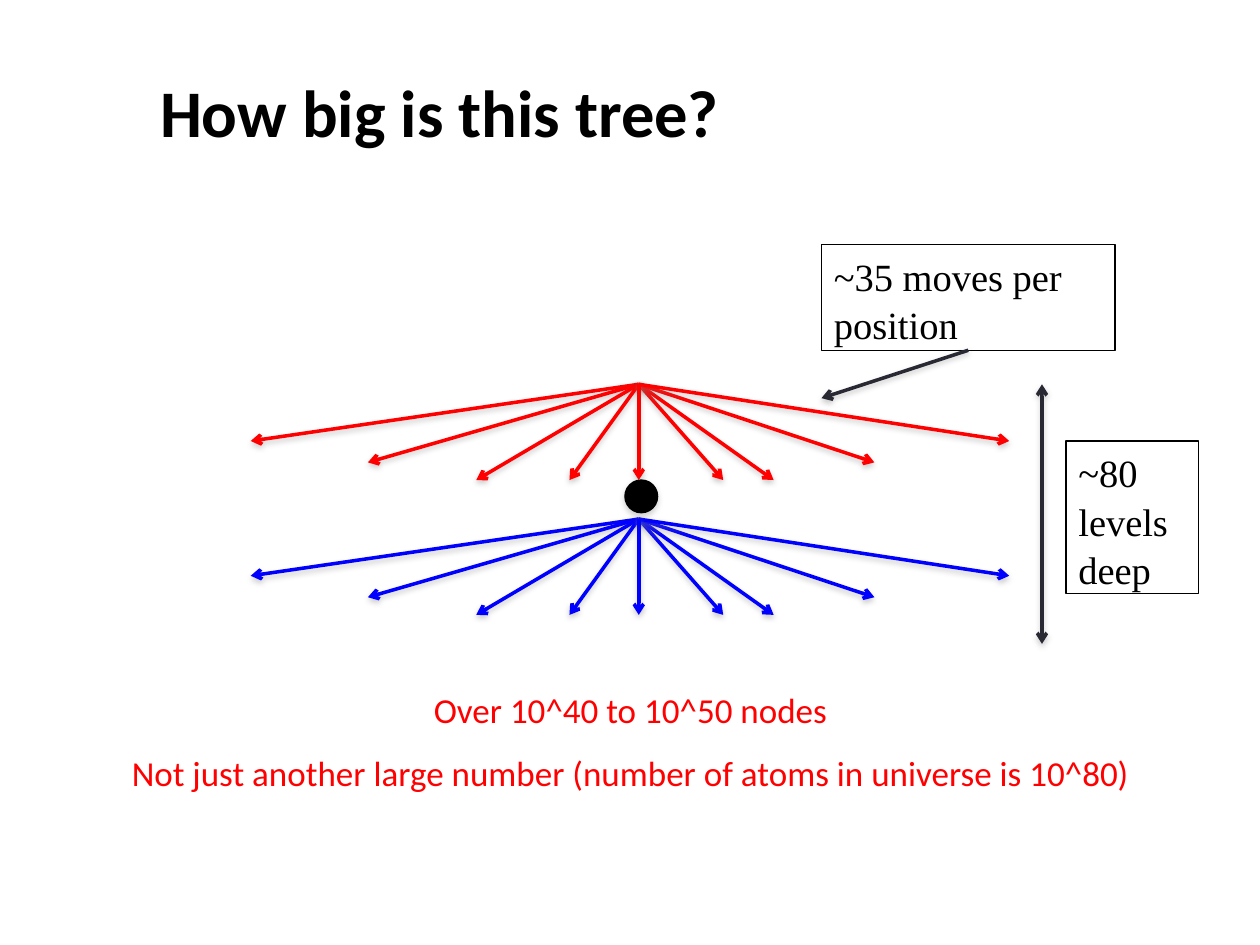
from lxml.etree import SubElement
from pptx import Presentation
from pptx.dml.color import RGBColor
from pptx.enum.shapes import MSO_CONNECTOR, MSO_SHAPE
from pptx.enum.text import MSO_ANCHOR, MSO_AUTO_SIZE, PP_ALIGN
from pptx.oxml.ns import qn
from pptx.util import Pt

BLACK = RGBColor(0x00, 0x00, 0x00)
RED = RGBColor(0xFF, 0x00, 0x00)
BLUE = RGBColor(0x00, 0x00, 0xFF)
SLATE = RGBColor(0x29, 0x29, 0x34)
SCALE = 9144
TIPS = [(-308, 45), (-215, 62), (-129, 76), (-55, 76), (67, 76),
        (107, 76), (187, 62), (294, 45), (0, 76)]


def px(*sizes):
    return [size * SCALE for size in sizes]


def add_shadow(shape, drop, alpha):
    effects = SubElement(shape._element.spPr, qn("a:effectLst"))
    outer = SubElement(effects, qn("a:outerShdw"), blurRad="40000",
                       dist=str(drop), dir="5400000", rotWithShape="0")
    shade = SubElement(outer, qn("a:srgbClr"), val="808080")
    SubElement(shade, qn("a:alpha"), val=str(alpha * 1000))


def add_arrow(slide, start, end, color, ends=("tailEnd",)):
    arrow = slide.shapes.add_connector(MSO_CONNECTOR.STRAIGHT, *px(*start, *end))
    arrow.line.color.rgb = color
    arrow.line.width = Pt(2)
    for name in ends:
        SubElement(arrow.line._get_or_add_ln(), qn("a:" + name), type="arrow")
    add_shadow(arrow, 20000, 38)
    return arrow


def style_text(para, name, size, color):
    para.font.name = name
    para.font.size = Pt(size)
    para.font.color.rgb = color


def add_title(slide, box, text):
    title = slide.shapes.title
    title.left, title.top, title.width, title.height = px(*box)
    frame = title.text_frame
    frame.text = text
    frame.vertical_anchor = MSO_ANCHOR.BOTTOM
    para = frame.paragraphs[0]
    para.alignment = PP_ALIGN.LEFT
    style_text(para, "Calibri", 38, BLACK)
    para.font.bold = True


def add_fan(slide, left, top, color):
    for across, down in TIPS:
        add_arrow(slide, (left, top), (left + across, top + down), color)


def add_node(slide, box):
    node = slide.shapes.add_shape(MSO_SHAPE.OVAL, *px(*box))
    node.fill.solid()
    node.fill.fore_color.rgb = BLACK
    node.line.color.rgb = BLACK
    node.line.width = Pt(0.75)
    add_shadow(node, 23000, 35)


def add_text(slide, box, lines):
    shape = slide.shapes.add_textbox(*px(*box))
    frame = shape.text_frame
    frame.word_wrap = True
    frame.auto_size = MSO_AUTO_SIZE.SHAPE_TO_FIT_TEXT
    frame.text = "\n".join(lines)
    return shape


def add_facts(slide, box, lines):
    facts = add_text(slide, box, lines)
    for para in facts.text_frame.paragraphs:
        para.alignment = PP_ALIGN.CENTER
        para.line_spacing = 1.5
        style_text(para, "Calibri", 20, RED)


def add_label(slide, box, text):
    label = add_text(slide, box, [text])
    label.line.color.rgb = BLACK
    label.line.width = Pt(0.75)
    para = label.text_frame.paragraphs[0]
    para.line_spacing = 1.05
    style_text(para, "Times New Roman", 22, BLACK)
    return label


def add_breadth(slide, left, top):
    label = add_label(slide, (left, top, 233, 84), "~35 moves per position")
    arrow = add_arrow(slide, (left + 117, top + 84), (left, top + 122), SLATE)
    arrow.begin_connect(label, 2)


def add_depth(slide, left, top):
    add_label(slide, (left + 19, top + 45, 105, 121), "~80 levels deep")
    add_arrow(slide, (left, top), (left, top + 206), SLATE, ("headEnd", "tailEnd"))


def main():
    deck = Presentation()
    deck.slide_width, deck.slide_height = px(1000, 750)
    slide = deck.slides.add_slide(deck.slide_layouts[5])
    add_title(slide, (117, 0, 850, 125), "How big is this tree?")
    add_fan(slide, 507, 305, RED)
    add_fan(slide, 507, 412, BLUE)
    add_node(slide, (496, 381, 26, 26))
    add_facts(slide, (50, 525, 901, 162), [
        "Over 10^40 to 10^50 nodes",
        "Not just another large number (number of atoms in universe is 10^80)"])
    add_breadth(slide, 652, 194)
    add_depth(slide, 827, 305)
    deck.save("out.pptx")


if __name__ == "__main__":
    main()
